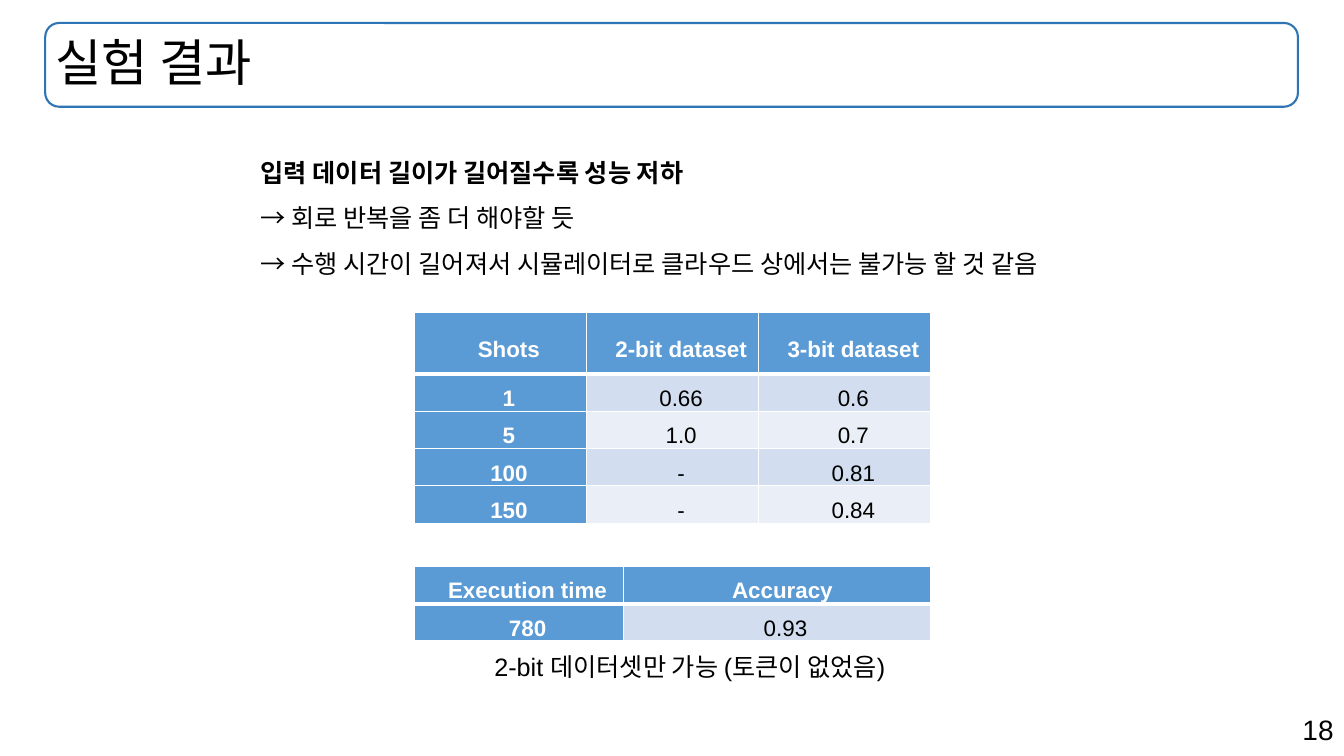
from lxml.etree import SubElement
from pptx import Presentation
from pptx.dml.color import RGBColor
from pptx.enum.shapes import MSO_SHAPE
from pptx.enum.text import MSO_ANCHOR, MSO_AUTO_SIZE, PP_ALIGN
from pptx.oxml.ns import qn
from pptx.util import Cm, Pt

TITLE = "실험 결과"
NOTES = [
    ("입력 데이터 길이가 길어질수록 성능 저하", True),
    ("→ 회로 반복을 좀 더 해야할 듯", False),
    ("→ 수행 시간이 길어져서 시뮬레이터로 클라우드 상에서는 불가능 할 것 같음", False),
]
SHOTS = [
    ("Shots", "2-bit dataset", "3-bit dataset"),
    ("1", "0.66", "0.6"),
    ("5", "1.0", "0.7"),
    ("100", "-", "0.81"),
    ("150", "-", "0.84"),
]
TIMING = [("Execution time", "Accuracy "), ("780", "0.93")]
CAPTION = "2-bit 데이터셋만 가능 (토큰이 없었음)"
PAGE = "18"

FONT = "Arial"
BLACK = RGBColor(0x00, 0x00, 0x00)
WHITE = RGBColor(0xFF, 0xFF, 0xFF)
FRAME = RGBColor(0x2E, 0x75, 0xB6)
HEAD = RGBColor(0x5B, 0x9B, 0xD5)
BANDS = [RGBColor(0xD2, 0xDE, 0xEF), RGBColor(0xEA, 0xEF, 0xF7)]

TITLE_BOX = (Cm(1.14), Cm(0.58), Cm(31.57), Cm(2.11))
TABLE_LEFT = Cm(10.44)
ROW = Cm(0.94)


def add_run(p, text, size, color=BLACK, bold=False):
    r = p.add_run()
    r.text = text
    r.font.name = FONT
    r.font.size = Pt(size)
    r.font.bold = bold
    r.font.color.rgb = color


def add_text(s, box, runs, size, align=PP_ALIGN.LEFT, spacing=1.0):
    tf = s.shapes.add_textbox(*box).text_frame
    tf.word_wrap = True
    tf.vertical_anchor = MSO_ANCHOR.MIDDLE
    p = tf.paragraphs[0]
    p.alignment = align
    p.line_spacing = spacing
    for i, (text, bold) in enumerate(runs):
        if i:
            p.add_line_break()
        add_run(p, text, size, bold=bold)


def add_borders(cell, row):
    tcPr = cell._tc.get_or_add_tcPr()
    widths = {"a:lnL": 1, "a:lnR": 1, "a:lnT": 3 if row == 1 else 1, "a:lnB": 3 if row == 0 else 1}
    for i, (tag, width) in enumerate(widths.items()):
        ln = SubElement(tcPr, qn(tag), w=str(Pt(width)))
        SubElement(SubElement(ln, qn("a:solidFill")), qn("a:srgbClr"), val=str(WHITE))
        tcPr.insert(i, ln)


def add_grid(s, top, rows, widths, head_height):
    heights = [head_height] + [ROW] * (len(rows) - 1)
    table = s.shapes.add_table(
        len(rows), len(widths), TABLE_LEFT, top, sum(widths), sum(heights)
    ).table
    for column, width in zip(table.columns, widths):
        column.width = width
    for i, row in enumerate(rows):
        table.rows[i].height = heights[i]
        for j, text in enumerate(row):
            is_head = i == 0 or j == 0
            cell = table.cell(i, j)
            cell.fill.solid()
            cell.fill.fore_color.rgb = HEAD if is_head else BANDS[(i - 1) % 2]
            cell.margin_left = cell.margin_right = Cm(0.18)
            cell.margin_top = cell.margin_bottom = 0
            cell.vertical_anchor = MSO_ANCHOR.MIDDLE
            add_borders(cell, i)
            p = cell.text_frame.paragraphs[0]
            p.alignment = PP_ALIGN.CENTER
            p.line_spacing = 1.5
            pPr = p._p.get_or_add_pPr()
            pPr.set("marL", "0")
            pPr.set("indent", str(Cm(0.43)))
            add_run(p, text, 16, WHITE if is_head else BLACK, is_head)


def main():
    prs = Presentation()
    prs.slide_width, prs.slide_height = Cm(33.87), Cm(19.05)
    s = prs.slides.add_slide(prs.slide_layouts[5])

    sp = s.shapes.add_shape(MSO_SHAPE.ROUNDED_RECTANGLE, *TITLE_BOX)
    sp.shadow.inherit = False
    sp.fill.background()
    sp.line.color.rgb = FRAME
    sp.line.width = Pt(1.5)
    s.shapes._spTree.insert(2, sp._element)

    title = s.shapes.title
    title.left, title.top, title.width, title.height = TITLE_BOX
    tf = title.text_frame
    tf.auto_size = MSO_AUTO_SIZE.NONE
    tf.vertical_anchor = MSO_ANCHOR.MIDDLE
    p = tf.paragraphs[0]
    p.alignment = PP_ALIGN.LEFT
    p.line_spacing = 0.9
    add_run(p, TITLE, 36)

    add_grid(s, Cm(7.87), SHOTS, [Cm(4.34)] * 3, Cm(1.55))
    add_grid(s, Cm(14.27), TIMING, [Cm(5.28), Cm(7.72)], ROW)
    add_text(s, (TABLE_LEFT, Cm(16.28), Cm(13.89), Cm(1.03)), [(CAPTION, False)], 18, PP_ALIGN.CENTER)
    add_text(s, (Cm(6.32), Cm(3.51), Cm(25.27), Cm(3.58)), NOTES, 18, spacing=1.5)
    add_text(s, (Cm(23.95), Cm(17.81), Cm(9.91), Cm(1.12)), [(PAGE, False)], 20, PP_ALIGN.RIGHT)
    prs.save("out.pptx")


if __name__ == "__main__":
    main()
